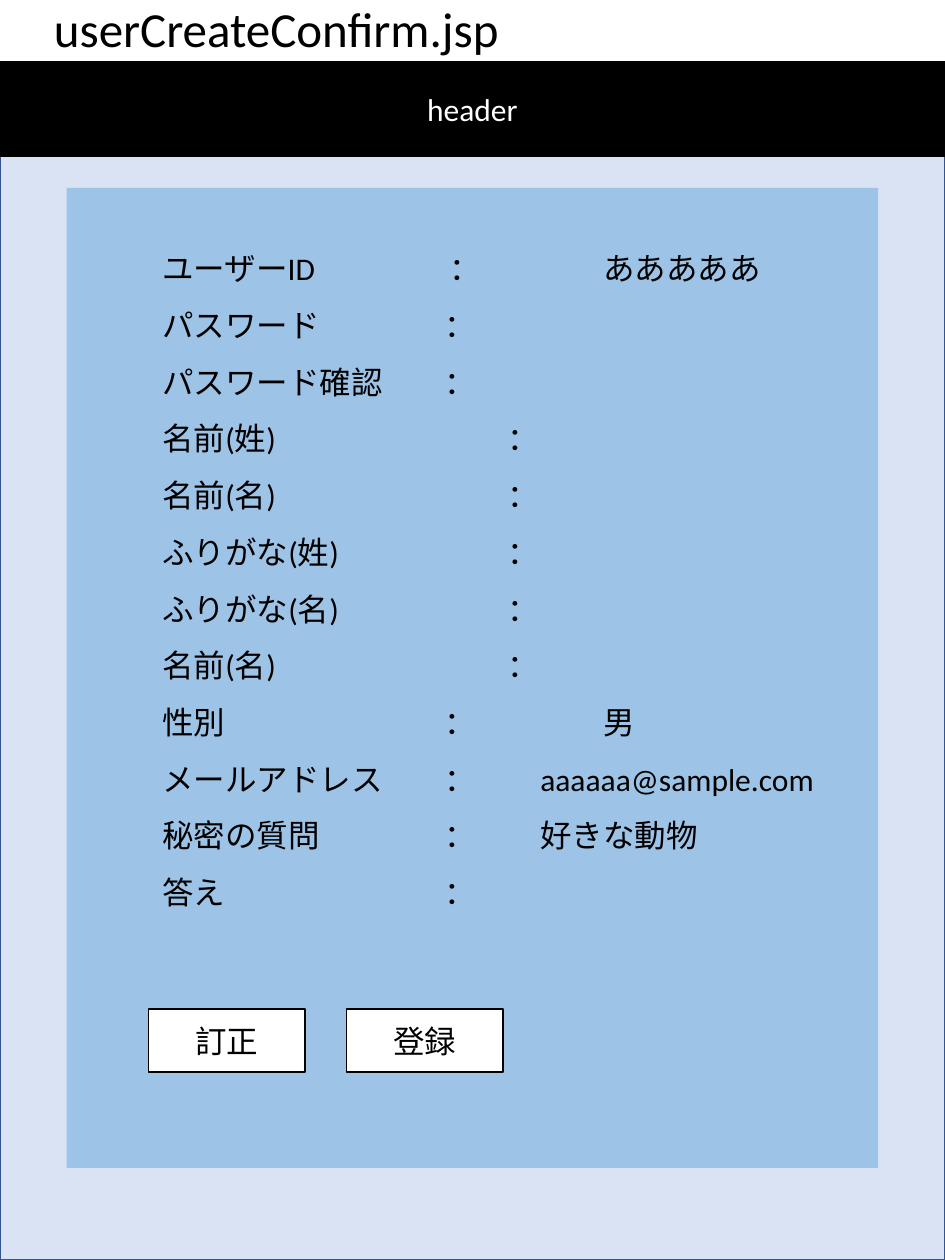
from lxml.etree import SubElement
from pptx import Presentation
from pptx.dml.color import RGBColor
from pptx.enum.shapes import MSO_SHAPE as Shape
from pptx.enum.text import MSO_ANCHOR as Anchor, PP_ALIGN as Align
from pptx.oxml.ns import qn
from pptx.util import Inches, Pt

COLORS = {
    "page": "DAE3F3",
    "page_edge": "325491",
    "panel": "9DC3E6",
    "black": "000000",
    "white": "FFFFFF",
}


def style_text(paragraph, size, color):
    paragraph.font.name = "Calibri"
    paragraph.font.size = Pt(size)
    paragraph.font.color.rgb = RGBColor.from_string(COLORS[color])


def add_block(left, top, width, height, fill, line=None, label="", color="black"):
    block = slide.shapes.add_shape(
        Shape.RECTANGLE, Inches(left), Inches(top), Inches(width), Inches(height))
    block.shadow.inherit = False
    block.fill.solid()
    block.fill.fore_color.rgb = RGBColor.from_string(COLORS[fill])
    if line:
        block.line.color.rgb = RGBColor.from_string(COLORS[line])
        block.line.width = Pt(1)
    else:
        block.line.fill.background()
    if label:
        block.text_frame.vertical_anchor = Anchor.MIDDLE
        caption = block.text_frame.paragraphs[0]
        caption.text = label
        caption.alignment = Align.CENTER
        style_text(caption, 18, color)


prs = Presentation()
prs.slide_width, prs.slide_height = Inches(7.5), Inches(10)
slide = prs.slides.add_slide(prs.slide_layouts[6])

add_block(0, 0.73, 7.5, 9.27, "page", "page_edge")
add_block(0.53, 1.49, 6.44, 7.78, "panel")
add_block(0, 0.49, 7.5, 0.75, "black", "black", "header", "white")

title = slide.shapes.add_textbox(
    Inches(0.33), Inches(-0.06), Inches(5.13), Inches(0.57)).text_frame
title.word_wrap = True
title.text = "userCreateConfirm.jsp"
style_text(title.paragraphs[0], 28, "black")

NEAR, FAR = 2.24, 2.74
fields = [
    ("ユーザーID", 2.28, "あああああ", 3.5),
    ("パスワード", NEAR, "", 0),
    ("パスワード確認", NEAR, "", 0),
    ("名前(姓)", FAR, "", 0),
    ("名前(名)", FAR, "", 0),
    ("ふりがな(姓)", FAR, "", 0),
    ("ふりがな(名)", FAR, "", 0),
    ("名前(名)", FAR, "", 0),
    ("性別", NEAR, "男", 3.5),
    ("メールアドレス", NEAR, "aaaaaa@sample.com", 3),
    ("秘密の質問", NEAR, "好きな動物", 3),
    ("答え", NEAR, "", 0),
]
form = slide.shapes.add_textbox(
    Inches(1.19), Inches(1.78), Inches(6.3), Inches(6.42)).text_frame
form.word_wrap = True
for index, (name, colon_at, value, value_at) in enumerate(fields):
    row = form.add_paragraph() if index else form.paragraphs[0]
    row.text = f"{name}\t：" + (f"\t{value}" if value else "")
    row.line_spacing = 1.5
    tabs = SubElement(row._p.get_or_add_pPr(), qn("a:tabLst"))
    for stop in [colon_at, value_at] if value else [colon_at]:
        SubElement(tabs, qn("a:tab"), pos=str(Inches(stop)), algn="l")
    style_text(row, 18, "black")

for index, action in enumerate(["訂正", "登録"]):
    add_block(1.18 + index * 1.57, 8.01, 1.24, 0.5, "white", "black", action)

prs.save("out.pptx")
